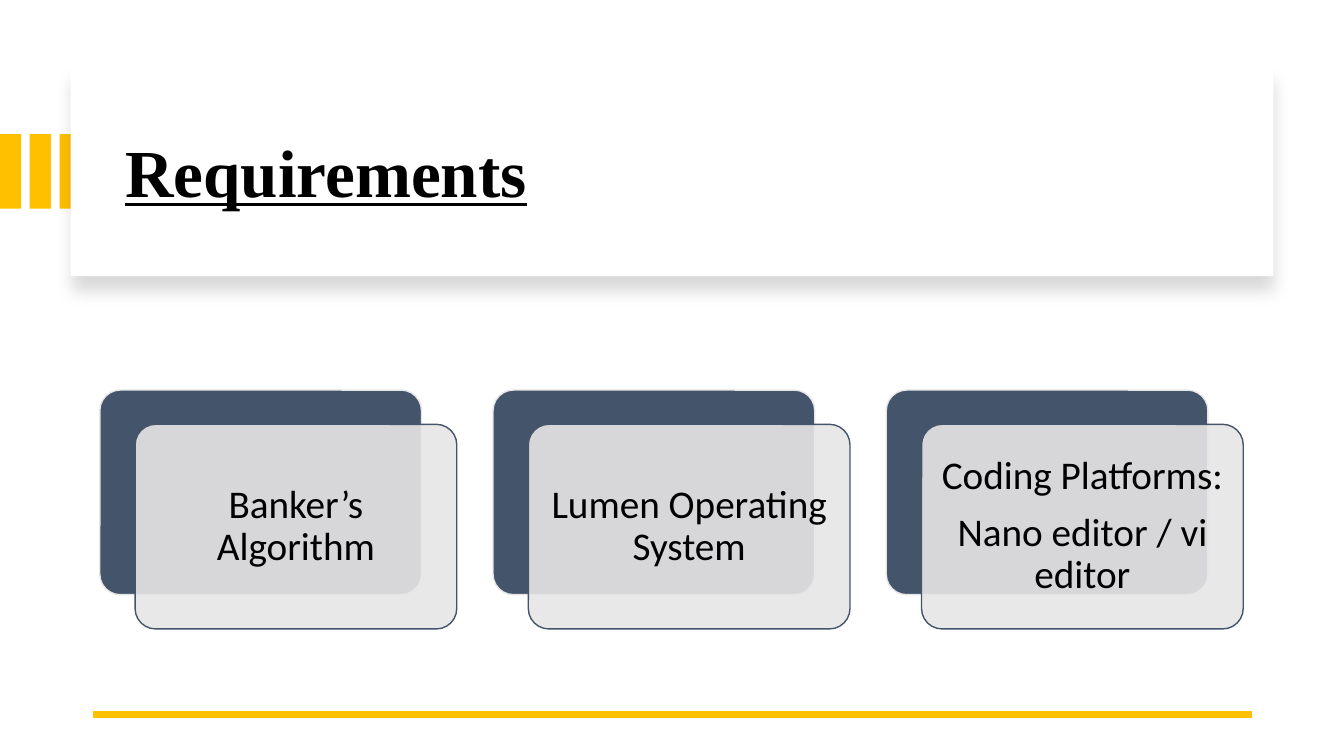
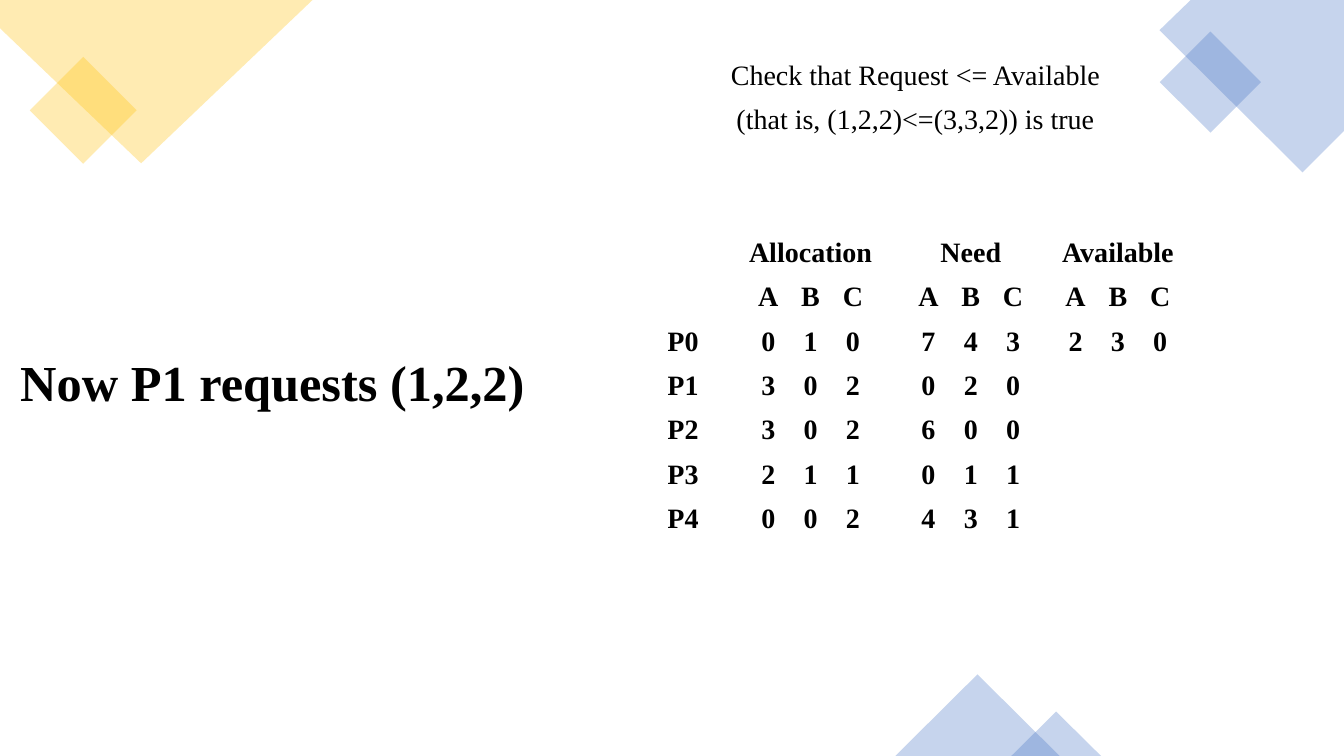
from dataclasses import dataclass

import lxml.etree
import pptx
import pptx.dml.color
import pptx.enum.dml
import pptx.enum.shapes
import pptx.enum.text
import pptx.oxml
import pptx.oxml.ns
import pptx.util

Inches = pptx.util.Inches
Pt = pptx.util.Pt
Shapes = pptx.enum.shapes.MSO_SHAPE
Align = pptx.enum.text.PP_ALIGN
Anchor = pptx.enum.text.MSO_ANCHOR
qn = pptx.oxml.ns.qn

COLORS = {
    "text": "000000",
    "white": "FFFFFF",
    "gold": "FFC000",
    "blue": "4472C4",
    "slate": "44546A",
    "mist": "E7E6E6",
}
SERIF = "Times New Roman"
SANS = "Calibri"
TITLE_ONLY = 5


@dataclass(frozen=True)
class Box:
    left: float
    top: float
    width: float
    height: float

    def emu(self) -> tuple:
        return tuple(Inches(v) for v in (self.left, self.top, self.width, self.height))


@dataclass(frozen=True)
class Ornament:
    kind: int
    box: Box
    color: str
    rotation: int = 0


@dataclass(frozen=True)
class Corner:
    points: tuple
    color: str


@dataclass(frozen=True)
class ResourceGroup:
    heading: str
    first_column: int
    rows: tuple


REQUIREMENTS = (
    ("Banker’s Algorithm",),
    ("Lumen Operating System",),
    ("Coding Platforms:", "Nano editor / vi editor"),
)
CORNERS = (
    Corner(((0, 0), (3.1, 0), (1.4, 1.62), (0, 0.28)), "gold"),
    Corner(((11.81, 0), (13.33, 0), (13.33, 1.3), (12.92, 1.71), (11.5, 0.3)), "blue"),
)
ORNAMENTS = (
    Ornament(Shapes.RECTANGLE, Box(0.45, 0.72, 0.75, 0.75), "gold", 45),
    Ornament(Shapes.RECTANGLE, Box(11.65, 0.46, 0.71, 0.71), "blue", 45),
    Ornament(Shapes.ISOSCELES_TRIANGLE, Box(8.88, 6.69, 1.63, 0.81), "blue"),
    Ornament(Shapes.ISOSCELES_TRIANGLE, Box(10.03, 7.06, 0.89, 0.44), "blue"),
)
PROCESSES = ("P0", "P1", "P2", "P3", "P4")
RESOURCES = ("A", "B", "C")
GROUPS = (
    ResourceGroup("Allocation", 1, ("010", "302", "302", "211", "002")),
    ResourceGroup("Need", 5, ("743", "020", "600", "011", "431")),
    ResourceGroup("Available", 9, ("230",)),
)
RESOURCE_WIDTH = 0.42
COLUMN_WIDTHS = (
    [0.79] + [RESOURCE_WIDTH] * 3 + [0.33] + [RESOURCE_WIDTH] * 3 + [0.2] + [RESOURCE_WIDTH] * 3
)
ROW_HEIGHT = 0.44


def rgb(color: str) -> pptx.dml.color.RGBColor:
    return pptx.dml.color.RGBColor.from_string(COLORS[color])


def paint(shape, fill: str, opacity: int = 100, line: str = "") -> None:
    shape.shadow.inherit = False
    shape.fill.solid()
    shape.fill.fore_color.rgb = rgb(fill)
    if opacity < 100:
        tint = shape.element.spPr.find(qn("a:solidFill"))[0]
        lxml.etree.SubElement(tint, qn("a:alpha")).set("val", str(opacity * 1000))
    if line:
        shape.line.color.rgb = rgb(line)
        shape.line.width = Pt(1)
    else:
        shape.line.fill.background()


def add_block(slide, kind: int, box: Box, fill: str, opacity: int = 100, line: str = ""):
    block = slide.shapes.add_shape(kind, *box.emu())
    paint(block, fill, opacity, line)
    return block


def style_text(frame, font: str, size: int, align: int, bold: bool = False,
               underline: bool = False, spacing: float = 0.9,
               before: int = 0, after: int = 0) -> None:
    for paragraph in frame.paragraphs:
        paragraph.alignment = align
        paragraph.line_spacing = spacing
        paragraph.space_before = Pt(before)
        paragraph.space_after = Pt(after)
        for run in paragraph.runs:
            run.font.name = font
            run.font.size = Pt(size)
            run.font.bold = bold
            run.font.underline = underline
            run.font.color.rgb = rgb("text")


def place_title(slide, text: str, box: Box, size: int, anchor: int,
                underline: bool = False) -> None:
    title = slide.shapes.title
    title.left, title.top, title.width, title.height = box.emu()
    frame = title.text_frame
    frame.text = text
    frame.word_wrap = True
    frame.auto_size = pptx.enum.text.MSO_AUTO_SIZE.NONE
    frame.vertical_anchor = anchor
    style_text(frame, SERIF, size, Align.LEFT, bold=True, underline=underline)
    title.element.getparent().append(title.element)


def add_soft_shadow(shape) -> None:
    effects = shape.element.spPr.find(qn("a:effectLst"))
    shadow = lxml.etree.SubElement(effects, qn("a:outerShdw"))
    shadow.set("blurRad", str(Pt(11)))
    shadow.set("dist", str(Pt(10)))
    shadow.set("dir", str(90 * 60000))
    shadow.set("rotWithShape", "0")
    tint = lxml.etree.SubElement(shadow, qn("a:srgbClr"))
    tint.set("val", COLORS["text"])
    lxml.etree.SubElement(tint, qn("a:alpha")).set("val", "15000")


def add_rule(slide, left: float, right: float, top: float) -> None:
    rule = slide.shapes.add_connector(
        pptx.enum.shapes.MSO_CONNECTOR.STRAIGHT,
        Inches(right), Inches(top), Inches(left), Inches(top),
    )
    rule.line.color.rgb = rgb("gold")
    rule.line.width = Pt(4.5)
    lxml.etree.SubElement(rule.element.spPr, qn("a:effectLst"))


def add_requirement(slide, left: float, lines: tuple) -> None:
    width, height = 3.19, 2.03
    back = add_block(slide, Shapes.ROUNDED_RECTANGLE,
                     Box(left, 3.87, width, height), "slate", line="mist")
    front = add_block(slide, Shapes.ROUNDED_RECTANGLE,
                      Box(left + 0.35, 4.21, width, height), "mist", 90, "slate")
    for card in (back, front):
        card.adjustments[0] = 0.1
    frame = front.text_frame
    frame.text = "\n".join(lines)
    frame.word_wrap = True
    frame.vertical_anchor = Anchor.MIDDLE
    frame.margin_left = frame.margin_right = Inches(0.12)
    frame.margin_top = frame.margin_bottom = Inches(0.12)
    style_text(frame, SANS, 28, Align.CENTER, after=10)


def add_corner(slide, corner: Corner) -> None:
    points = [(Inches(x), Inches(y)) for x, y in corner.points]
    builder = slide.shapes.build_freeform(*points[0])
    builder.add_line_segments(points[1:], close=True)
    paint(builder.convert_to_shape(), corner.color, 30)


def add_check(slide) -> None:
    check = slide.shapes.add_textbox(*Box(5.54, 0.56, 7.08, 1).emu())
    check.text_frame.word_wrap = True
    check.text_frame.text = (
        "Check that Request <= Available\n(that is, (1,2,2)<=(3,3,2)) is true"
    )
    style_text(check.text_frame, SERIF, 20, Align.CENTER, before=10)


def add_state_table(slide) -> None:
    row_count = len(PROCESSES) + 2
    box = Box(6.62, 2.29, sum(COLUMN_WIDTHS), ROW_HEIGHT * row_count)
    state = slide.shapes.add_table(row_count, len(COLUMN_WIDTHS), *box.emu()).table
    state.first_row = state.horz_banding = False
    for column, width in zip(state.columns, COLUMN_WIDTHS):
        column.width = Inches(width)
    for row in state.rows:
        row.height = Inches(ROW_HEIGHT)
    for index, process in enumerate(PROCESSES):
        state.cell(index + 2, 0).text = process
    for group in GROUPS:
        first = group.first_column
        state.cell(0, first).merge(state.cell(0, first + len(RESOURCES) - 1))
        state.cell(0, first).text = group.heading
        for row_index, values in enumerate((RESOURCES, *group.rows), start=1):
            for offset, value in enumerate(values):
                state.cell(row_index, first + offset).text = value
    for row in state.rows:
        for column_index, cell in enumerate(row.cells):
            cell.fill.background()
            cell.margin_left = cell.margin_right = 0
            cell.margin_top = cell.margin_bottom = 0
            cell.vertical_anchor = Anchor.MIDDLE
            align = Align.CENTER if column_index else Align.LEFT
            style_text(cell.text_frame, SERIF, 20, align, bold=True, spacing=1.0)


def build_requirements(slide) -> None:
    for index in range(3):
        add_block(slide, Shapes.RECTANGLE, Box(index * 0.295, 1.33, 0.21, 0.74), "gold")
    panel = add_block(slide, Shapes.RECTANGLE, Box(0.7, 0.67, 11.93, 2.07), "white")
    add_soft_shadow(panel)
    place_title(slide, "Requirements", Box(1.14, 0.89, 11.13, 1.7), 48,
                Anchor.MIDDLE, underline=True)
    add_rule(slide, 0.92, 12.42, 7.09)
    for index, lines in enumerate(REQUIREMENTS):
        add_requirement(slide, 0.99 + index * 3.9, lines)


def build_request(slide) -> None:
    place_title(slide, "Now P1 requests (1,2,2)", Box(0.1, 3.5, 5.35, 1.36), 36, Anchor.TOP)
    for corner in CORNERS:
        add_corner(slide, corner)
    for ornament in ORNAMENTS:
        block = add_block(slide, ornament.kind, ornament.box, ornament.color, 30)
        block.rotation = ornament.rotation
    add_check(slide)
    add_state_table(slide)


def main() -> None:
    deck = pptx.Presentation()
    deck.slide_width = Inches(13.33)
    deck.slide_height = Inches(7.5)
    for build in (build_requirements, build_request):
        build(deck.slides.add_slide(deck.slide_layouts[TITLE_ONLY]))
    deck.save("out.pptx")


if __name__ == "__main__":
    main()
